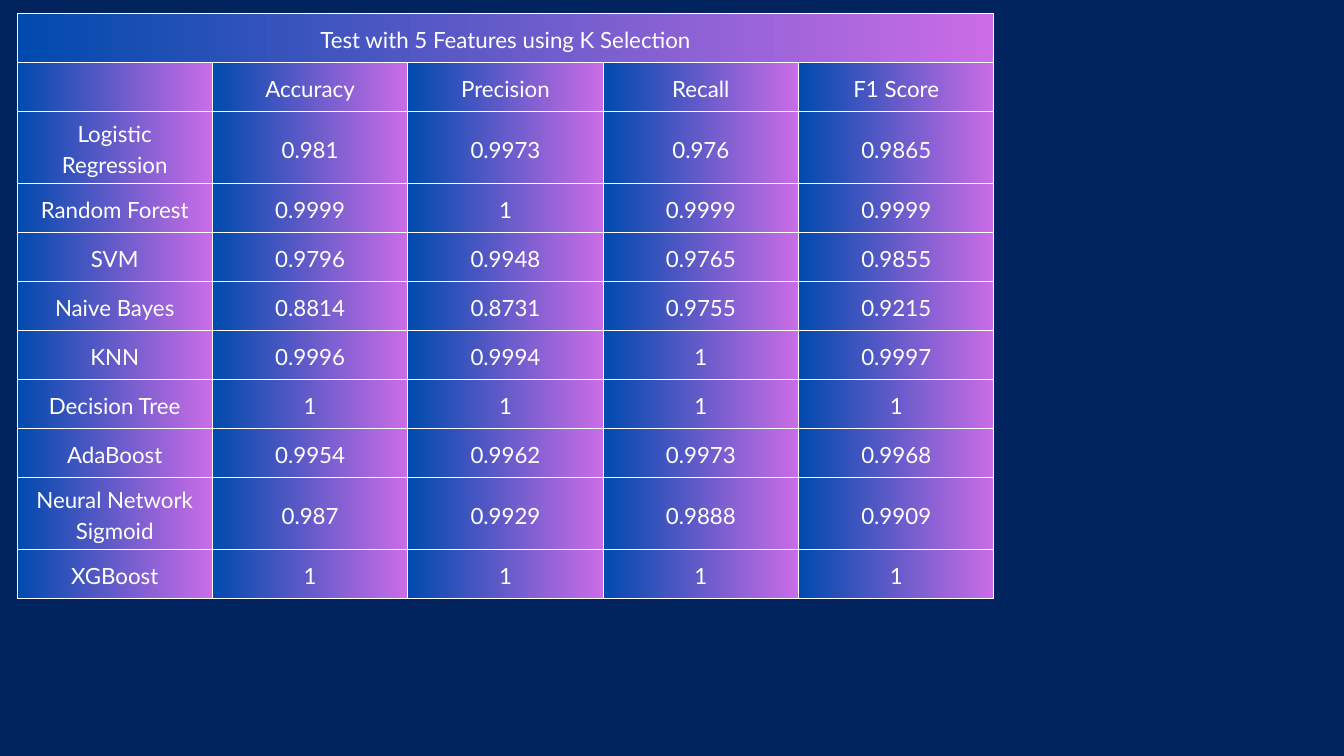
import pptx
import pptx.util
import pptx.dml.color
import pptx.enum.text
import pptx.oxml

TITLE = "Test with 5 Features using K Selection"
HEADS = ["", "Accuracy", "Precision", "Recall", "F1 Score"]
SCORES = [
    ("Logistic Regression", "0.981", "0.9973", "0.976", "0.9865"),
    ("Random Forest", "0.9999", "1", "0.9999", "0.9999"),
    ("SVM", "0.9796", "0.9948", "0.9765", "0.9855"),
    ("Naive Bayes", "0.8814", "0.8731", "0.9755", "0.9215"),
    ("KNN", "0.9996", "0.9994", "1", "0.9997"),
    ("Decision Tree", "1", "1", "1", "1"),
    ("AdaBoost", "0.9954", "0.9962", "0.9973", "0.9968"),
    ("Neural Network Sigmoid", "0.987", "0.9929", "0.9888", "0.9909"),
    ("XGBoost", "1", "1", "1", "1"),
]
ROWS = [[TITLE, "", "", "", ""], HEADS, *SCORES]
HIGH = {9: 58}
GRAD = ["004AAD", "CB6CE6"]
WHITE = "FFFFFF"
EDGE = 14224


def px(num):
    return round(num * 914400 / 67.2)


def tint(code):
    return pptx.dml.color.RGBColor.from_string(code)


def put(item, vals):
    for name, val in vals.items():
        setattr(item, name, val)


CELL = {
    "vertical_anchor": pptx.enum.text.MSO_ANCHOR.MIDDLE,
    "margin_left": px(5),
    "margin_right": px(5),
    "margin_top": px(5),
    "margin_bottom": px(5),
}
PARA = {
    "alignment": pptx.enum.text.PP_ALIGN.CENTER,
    "line_spacing": pptx.util.Pt(33.4),
}
FONT = {"name": "Lato", "size": pptx.util.Pt(23.9), "bold": False}


def edge(cell):
    props = cell._tc.get_or_add_tcPr()
    for spot, side in enumerate(["lnL", "lnR", "lnT", "lnB"]):
        line = pptx.oxml.parse_xml(
            f'<a:{side} xmlns:a="http://schemas.openxmlformats.org/drawingml/2006/main" '
            f'w="{EDGE}"><a:solidFill><a:srgbClr val="{WHITE}"/></a:solidFill></a:{side}>'
        )
        props.insert(spot, line)


def dress(cell, text):
    put(cell, CELL)
    cell.fill.gradient()
    cell.fill.gradient_angle = 0
    for stop, code in zip(cell.fill.gradient_stops, GRAD):
        stop.color.rgb = tint(code)
    edge(cell)
    para = cell.text_frame.paragraphs[0]
    put(para, PARA)
    if text:
        run = para.add_run()
        run.text = text
        put(run.font, FONT)
        run.font.color.rgb = tint(WHITE)


def main():
    deck = pptx.Presentation()
    put(deck, {"slide_width": px(1344), "slide_height": px(756)})
    slide = deck.slides.add_slide(deck.slide_layouts[6])
    slide.background.fill.solid()
    slide.background.fill.fore_color.rgb = tint("01245E")

    tall = [HIGH.get(num, 49) for num in range(len(ROWS))]
    frame = slide.shapes.add_table(
        len(ROWS), len(HEADS), px(17), px(13), px(977), px(sum(tall))
    )
    table = frame.table
    put(table, {"first_row": False, "horz_banding": False})
    for row, size in zip(table.rows, tall):
        row.height = px(size)
    for r, row in enumerate(ROWS):
        for c, text in enumerate(row):
            dress(table.cell(r, c), text)
    table.cell(0, 0).merge(table.cell(0, len(HEADS) - 1))
    deck.save("out.pptx")


if __name__ == "__main__":
    main()
